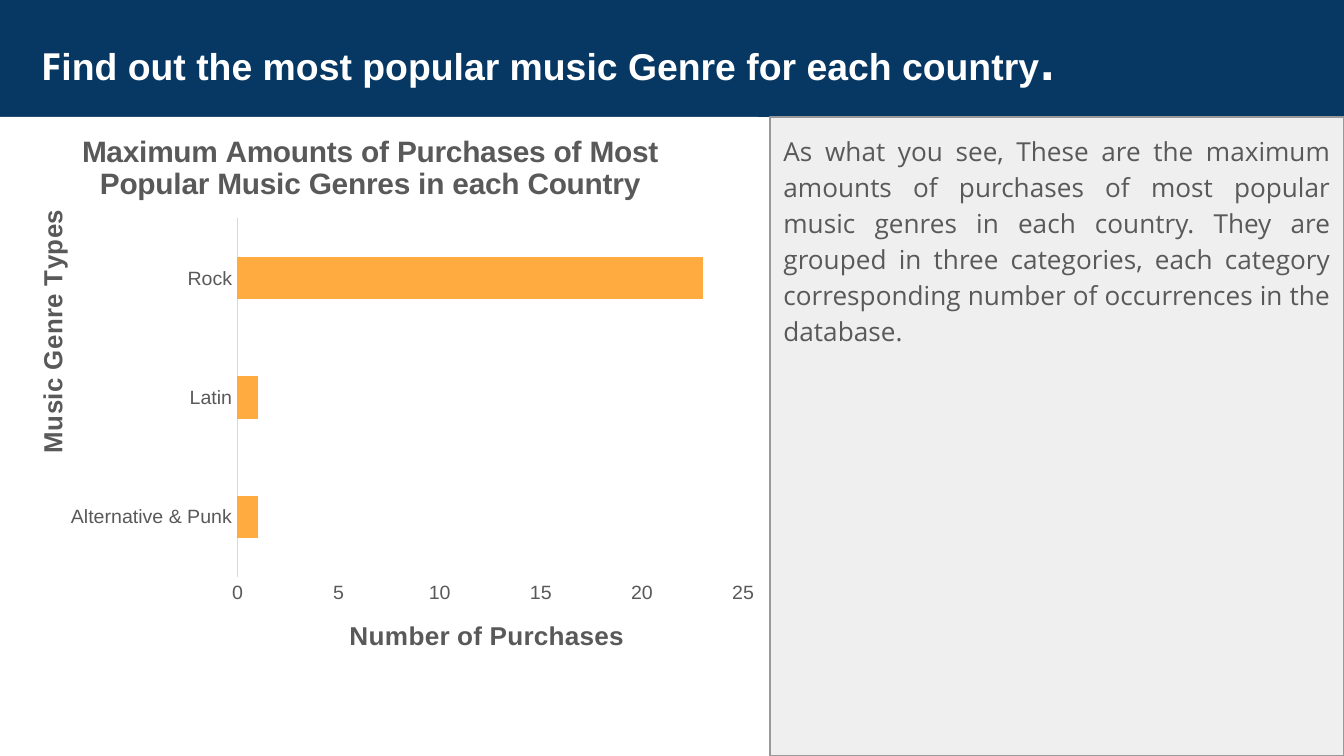
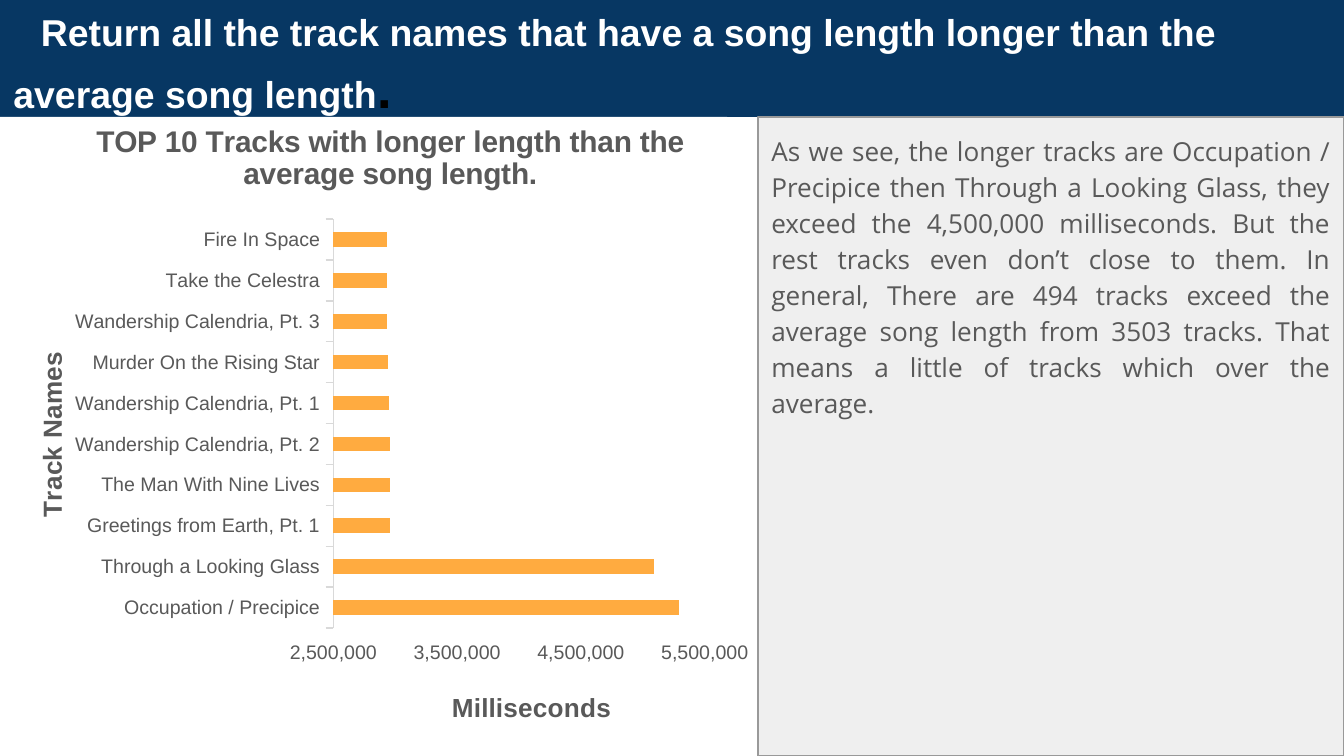
from pptx import Presentation
from pptx.chart.data import CategoryChartData
from pptx.dml.color import RGBColor
from pptx.enum.chart import XL_CHART_TYPE, XL_TICK_MARK
from pptx.enum.shapes import MSO_SHAPE
from pptx.enum.text import MSO_ANCHOR, MSO_AUTO_SIZE, PP_ALIGN
from pptx.oxml import parse_xml
from pptx.oxml.ns import nsdecls, qn
from pptx.util import Pt

# Shared look, lengths in points
WIDE, HIGH = 720, 405
BAND = 62.64
NAVY, WHITE, BLACK = "073763", "FFFFFF", "000000"
GREY, PALE, EDGE, RULE = "595959", "EFEFEF", "999999", "D9D9D9"
ORANGE = "FFAB40"
SANS, OPEN = "Arial", "Open Sans"


def color(code):
    return RGBColor.from_string(code)


def style(font, size, shade=GREY, face=SANS, bold=False):
    font.size, font.name, font.bold = Pt(size), face, bold
    font.color.rgb = color(shade)


def write(para, text, **form):
    """Add a run of text; form holds size, shade, face and bold."""
    run = para.add_run()
    run.text = text
    style(run.font, **form)


def paint(shape, fill, line=None):
    shape.fill.solid()
    shape.fill.fore_color.rgb = color(fill)
    if line:
        shape.line.color.rgb = color(line)
        shape.line.width = Pt(0.75)
    else:
        shape.line.fill.background()


def move(shape, left, top, width, height):
    shape.left, shape.top = Pt(left), Pt(top)
    shape.width, shape.height = Pt(width), Pt(height)


def frame(shape, anchor):
    """Set up the text frame and return its first paragraph, free of bullets."""
    text = shape.text_frame
    text.word_wrap = True
    text.auto_size = MSO_AUTO_SIZE.NONE
    text.vertical_anchor = anchor
    text.margin_left = text.margin_right = Pt(7.2)
    text.margin_top = text.margin_bottom = Pt(7.2)
    para = text.paragraphs[0]
    props = para._p.get_or_add_pPr()
    props.set("marL", "0")
    props.set("indent", "0")
    props.append(parse_xml(f"<a:buNone {nsdecls('a')}/>"))
    para.space_before = Pt(0)
    return para


# Title band; lift raises the text
def head(slide, runs, lift=0):
    title = slide.shapes.title
    move(title, 0, 0, WIDE, BAND)
    paint(title, NAVY)
    para = frame(title, MSO_ANCHOR.MIDDLE)
    title.text_frame.margin_bottom = Pt(7.2 + 2 * lift)
    para.alignment = PP_ALIGN.LEFT
    para.line_spacing = Pt(35)
    para._p.get_or_add_pPr().set("indent", str(Pt(14.75)))
    for text, form in runs:
        write(para, text, **{"size": 20, "shade": WHITE, "bold": True, **form})


# Comment on the right
def note(slide, left, text):
    body = slide.placeholders[1]
    move(body, left, BAND, WIDE - left, HIGH - BAND)
    paint(body, PALE, EDGE)
    para = frame(body, MSO_ANCHOR.TOP)
    para.alignment = PP_ALIGN.JUSTIFY
    para.line_spacing = 1.15
    para.space_after = Pt(16)
    write(para, text, size=14, face=OPEN)


# White ground behind the chart
def ground(slide, width):
    rect = slide.shapes.add_shape(
        MSO_SHAPE.RECTANGLE, 0, Pt(BAND), Pt(width), Pt(HIGH - BAND))
    rect.shadow.inherit = False
    paint(rect, WHITE)


def place(elem, index, spot, inner=False):
    """Fix a chart part at fractions of the chart's size."""
    for old in elem.findall(qn("c:layout")):
        elem.remove(old)
    target = '<c:layoutTarget val="inner"/>' if inner else ""
    modes = '<c:xMode val="edge"/><c:yMode val="edge"/>'
    sizes = "".join(f'<c:{key} val="{val}"/>' for key, val in zip("xywh", spot))
    elem.insert(index, parse_xml(
        f"<c:layout {nsdecls('c')}><c:manualLayout>{target}{modes}{sizes}"
        "</c:manualLayout></c:layout>"))


def label(title, text, size, spot):
    write(title.text_frame.paragraphs[0], text, size=size, bold=True)
    place(title._element, 1, spot)


# Bar chart: each of title, cat and val is a text with its spot
def bars(slide, box, data, title, cat, val, plot, scale, tick, form):
    feed = CategoryChartData(number_format=form)
    feed.categories = [name for name, _ in data]
    feed.add_series("Series 1", [num for _, num in data])
    chart = slide.shapes.add_chart(
        XL_CHART_TYPE.BAR_CLUSTERED, *map(Pt, box), feed).chart
    style(chart.font, 10, BLACK)
    chart.has_legend = False
    chart.has_title = True
    label(chart.chart_title, title[0], 16, title[1])

    group = chart.plots[0]
    group.gap_width = 182
    group.vary_by_categories = False
    fill = group.series[0].format.fill
    fill.solid()
    fill.fore_color.rgb = color(ORANGE)
    place(chart._chartSpace.chart.plotArea, 0, plot, inner=True)

    for axis, (text, spot) in ((chart.category_axis, cat), (chart.value_axis, val)):
        axis.has_major_gridlines = False
        axis.major_tick_mark = tick
        axis.minor_tick_mark = XL_TICK_MARK.NONE
        style(axis.tick_labels.font, 10.5)
        axis.has_title = True
        label(axis.axis_title, text, 14, spot)
    side = chart.category_axis
    side.format.line.color.rgb = color(RULE)
    side.format.line.width = Pt(0.75)
    turn = side.axis_title.text_frame._txBody.bodyPr
    turn.set("rot", "-5400000")
    turn.set("vert", "horz")

    base = chart.value_axis
    base.format.line.fill.background()
    base.minimum_scale, base.maximum_scale, base.major_unit = scale
    base.tick_labels.number_format = form
    base.tick_labels.number_format_is_linked = False


def genres(slide):
    head(slide, [
        ("F", {"face": OPEN}),
        ("ind out the most popular music Genre for each country", {}),
        (".", {"size": 28}),
    ])
    note(slide, 412.5,
         "As what you see, These are the maximum amounts of purchases of most "
         "popular music genres in each country. They are grouped in three "
         "categories, each category corresponding number of occurrences in "
         "the database.")
    ground(slide, 406)
    bars(slide, (0, BAND, 410.4, 290.2),
         [("Alternative & Punk", 1), ("Latin", 1), ("Rock", 23)],
         title=("Maximum Amounts of Purchases of Most Popular Music Genres "
                "in each Country", (0.1, 0.02)),
         cat=("Music Genre Types", (0.04, 0.17)),
         val=("Number of Purchases", (0.45, 0.93)),
         plot=(0.31, 0.19, 0.66, 0.67),
         scale=(0, 25, 5), tick=XL_TICK_MARK.NONE, form="General")


def tracks(slide):
    head(slide, [
        ("Return all the track names that have a song length longer than the "
         "average song length", {}),
        (".", {"size": 28, "shade": BLACK}),
    ], lift=2.5)
    note(slide, 406,
         "As we see, the longer tracks are Occupation / Precipice then Through "
         "a Looking Glass, they exceed the 4,500,000 milliseconds. But the rest "
         "tracks even don’t close to them. In general, There are 494 tracks "
         "exceed the average song length from 3503 tracks. That means a little "
         "of tracks which over the average.")
    ground(slide, 389.5)
    bars(slide, (0, BAND, 406, HIGH - BAND),
         [("Occupation / Precipice", 5290000),
          ("Through a Looking Glass", 5090000),
          ("Greetings from Earth, Pt. 1", 2960000),
          ("The Man With Nine Lives", 2960000),
          ("Wandership Calendria, Pt. 2", 2960000),
          ("Wandership Calendria, Pt. 1", 2950000),
          ("Murder On the Rising Star", 2940000),
          ("Wandership Calendria, Pt. 3", 2930000),
          ("Take the Celestra", 2930000),
          ("Fire In Space", 2930000)],
         title=("TOP 10 Tracks with longer length than the average song length.",
                (0.12, 0)),
         cat=("Track Names", (0.04, 0.36)),
         val=("Milliseconds", (0.59, 0.89)),
         plot=(0.44, 0.16, 0.49, 0.64),
         scale=(2500000, 5500000, 1000000),
         tick=XL_TICK_MARK.OUTSIDE, form="#,##0")


def main():
    deck = Presentation()
    deck.slide_width, deck.slide_height = Pt(WIDE), Pt(HIGH)
    for build in (genres, tracks):
        build(deck.slides.add_slide(deck.slide_layouts[1]))
    deck.save("out.pptx")


if __name__ == "__main__":
    main()
